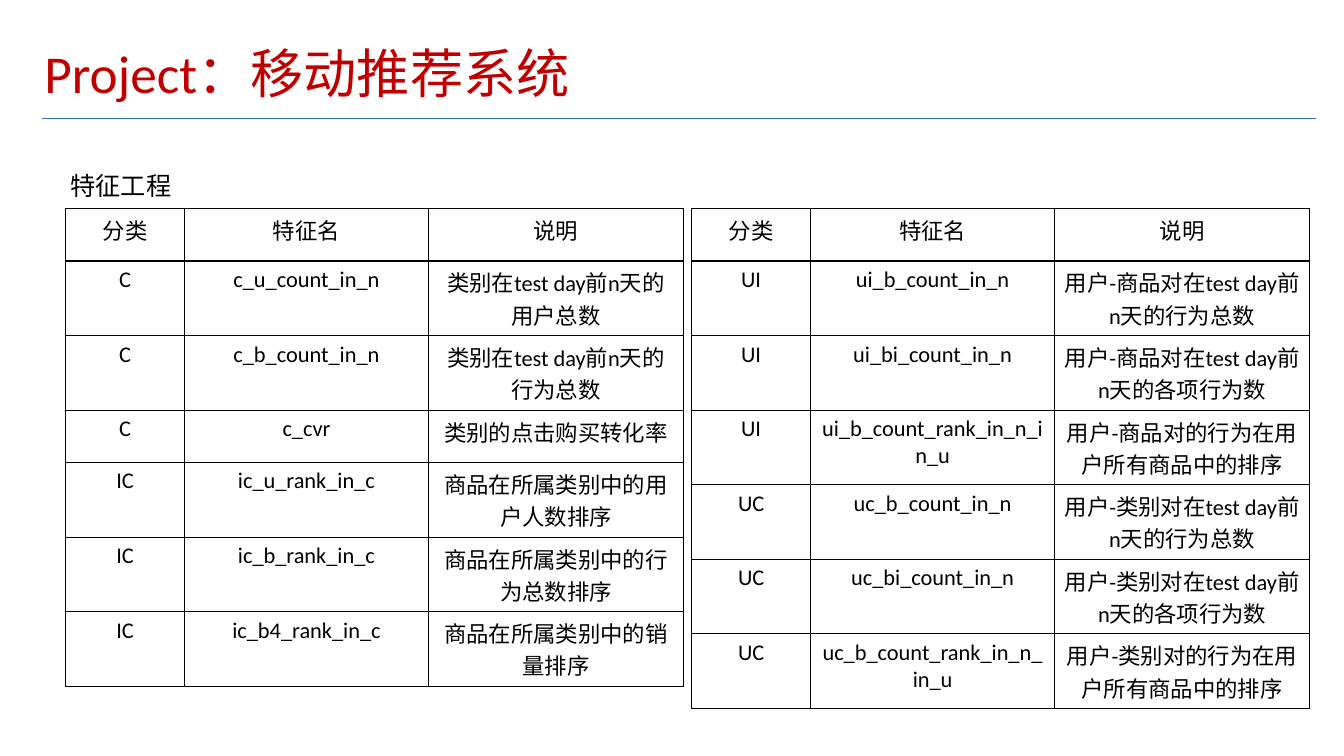
from lxml import etree
from pptx import Presentation
from pptx.dml.color import RGBColor
from pptx.enum.shapes import MSO_CONNECTOR
from pptx.enum.text import MSO_ANCHOR as ANCHOR, PP_ALIGN as ALIGN
from pptx.oxml.ns import qn
from pptx.util import Inches, Pt

FONT = "Calibri"
COLUMN_WIDTHS = (1.18, 2.42, 2.53)
ONE_LINE_HEIGHT = 0.52
TWO_LINE_HEIGHT = 0.74
CHARS_PER_LINE = 10
HEADER = ("分类", "特征名", "说明")
CATEGORY_FEATURES = [
    ("C", "c_u_count_in_n", "类别在test day前n天的用户总数"),
    ("C", "c_b_count_in_n", "类别在test day前n天的行为总数"),
    ("C", "c_cvr", "类别的点击购买转化率"),
    ("IC", "ic_u_rank_in_c", "商品在所属类别中的用户人数排序"),
    ("IC", "ic_b_rank_in_c", "商品在所属类别中的行为总数排序"),
    ("IC", "ic_b4_rank_in_c", "商品在所属类别中的销量排序"),
]
USER_FEATURES = [
    ("UI", "ui_b_count_in_n", "用户-商品对在test day前n天的行为总数"),
    ("UI", "ui_bi_count_in_n", "用户-商品对在test day前n天的各项行为数"),
    ("UI", "ui_b_count_rank_in_n_in_u", "用户-商品对的行为在用户所有商品中的排序"),
    ("UC", "uc_b_count_in_n", "用户-类别对在test day前n天的行为总数"),
    ("UC", "uc_bi_count_in_n", "用户-类别对在test day前n天的各项行为数"),
    ("UC", "uc_b_count_rank_in_n_in_u", "用户-类别对的行为在用户所有商品中的排序"),
]


def rgb(color):
    return RGBColor.from_string(color)


def write(tf, text, size=16, color="000000", align=ALIGN.LEFT, spacing=1.0):
    tf.word_wrap = True
    p = tf.paragraphs[0]
    p.alignment = align
    p.line_spacing = spacing
    r = p.add_run()
    r.text = text
    r.font.name = FONT
    r.font.size = Pt(size)
    r.font.color.rgb = rgb(color)


def add_text(s, left, top, width, height, text, anchor=ANCHOR.TOP, **fmt):
    sp = s.shapes.add_textbox(*map(Inches, (left, top, width, height)))
    tf = sp.text_frame
    tf.margin_left = tf.margin_right = Inches(0.05)
    tf.margin_top = tf.margin_bottom = Inches(0.05)
    tf.vertical_anchor = anchor
    write(tf, text, **fmt)


def add_border(cell, color="000000", width=1):
    tc_pr = cell._tc.get_or_add_tcPr()
    for index, side in enumerate(("lnL", "lnR", "lnT", "lnB")):
        ln = etree.Element(qn(f"a:{side}"), w=str(Pt(width)))
        fill = etree.SubElement(ln, qn("a:solidFill"))
        etree.SubElement(fill, qn("a:srgbClr"), val=color)
        tc_pr.insert(index, ln)


def add_title(s, left, top, width, height):
    add_text(s, left, top, width, height, "Project：移动推荐系统",
             anchor=ANCHOR.MIDDLE, size=38, color="C00000", spacing=0.9)
    rule_left, rule_top = left + 0.03, top + 0.78
    rule = s.shapes.add_connector(
        MSO_CONNECTOR.STRAIGHT, Inches(rule_left), Inches(rule_top),
        Inches(rule_left + 12.63), Inches(rule_top))
    rule.line.color.rgb = rgb("3F6FC3")
    rule.line.width = Pt(0.75)
    etree.SubElement(rule._element.spPr, qn("a:effectLst"))


def row_height(texts):
    wraps = len(texts[-1]) > CHARS_PER_LINE
    return TWO_LINE_HEIGHT if wraps else ONE_LINE_HEIGHT


def add_feature_table(s, left, top, features):
    rows = [HEADER, *features]
    frame = s.shapes.add_table(
        len(rows), len(HEADER), Inches(left), Inches(top),
        Inches(sum(COLUMN_WIDTHS)), Inches(sum(map(row_height, rows))))
    table = frame.table
    table.first_row = table.horz_banding = False
    for column, width in zip(table.columns, COLUMN_WIDTHS):
        column.width = Inches(width)
    for row, texts in zip(table.rows, rows):
        row.height = Inches(row_height(texts))
        for cell, text in zip(row.cells, texts):
            cell.fill.background()
            add_border(cell)
            write(cell.text_frame, text, align=ALIGN.CENTER)


def add_features(s, left, top):
    add_text(s, left, top, 6.03, 4.6, "特征工程", size=18, spacing=1.5)
    add_feature_table(s, left + 6.21, top + 0.58, USER_FEATURES)
    add_feature_table(s, left, top + 0.58, CATEGORY_FEATURES)


def main():
    prs = Presentation()
    prs.slide_width, prs.slide_height = Inches(13.33), Inches(7.5)
    s = prs.slides.add_slide(prs.slide_layouts[6])
    add_title(s, 0.39, 0.4, 11.13, 0.71)
    add_features(s, 0.65, 1.49)
    prs.save("out.pptx")


if __name__ == "__main__":
    main()
